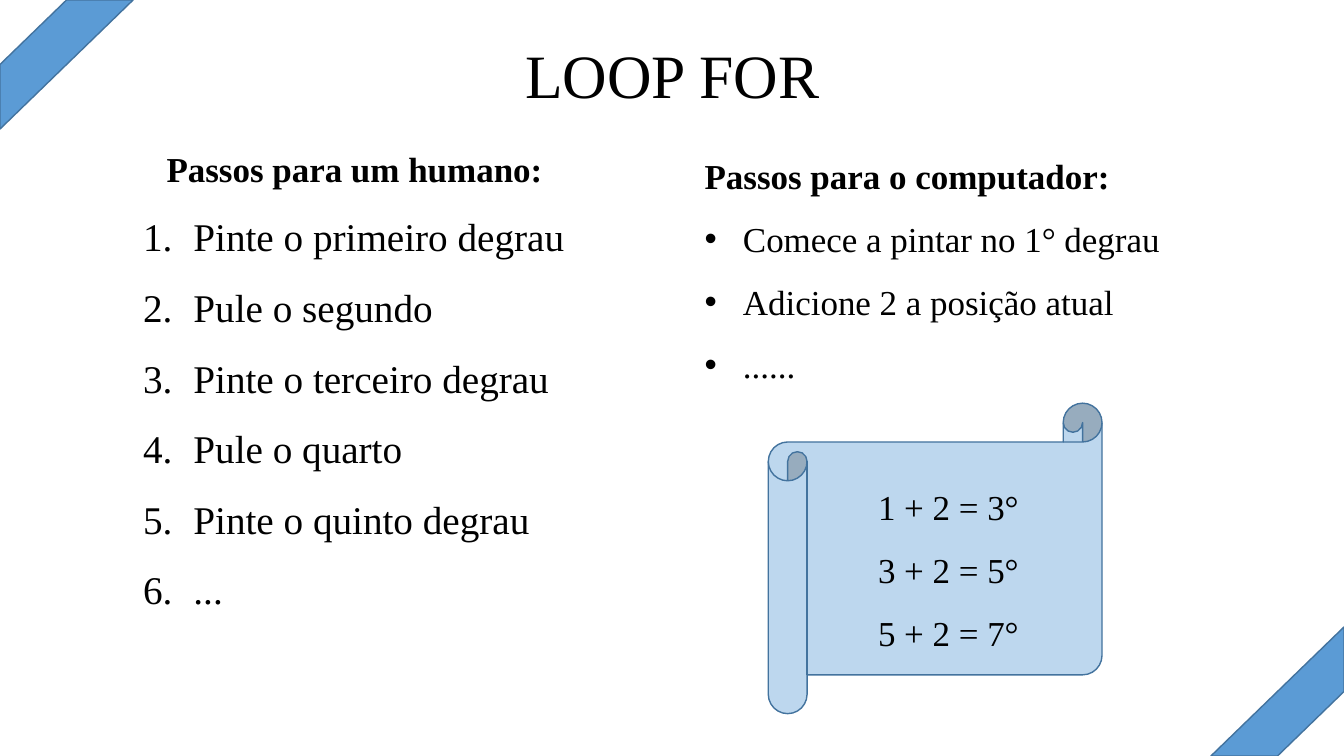
from lxml import etree
from pptx import Presentation
from pptx.dml.color import RGBColor
from pptx.enum.shapes import MSO_SHAPE as Shape
from pptx.enum.text import MSO_ANCHOR as Anchor, PP_ALIGN as Align
from pptx.oxml.ns import qn
from pptx.util import Inches, Pt

BLACK = RGBColor(0x00, 0x00, 0x00)
BLUE = RGBColor(0x5B, 0x9B, 0xD5)
PALE_BLUE = RGBColor(0xBD, 0xD7, 0xEE)
OUTLINE = RGBColor(0x43, 0x73, 0x9E)

NUMBER = ("buAutoNum", {"type": "arabicPeriod"})
DOT = ("buChar", {"char": "•"})


class SlideBuilder:
    font_name = "Times New Roman"

    def __init__(self, slide):
        self.slide = slide

    def add_shape(self, preset, left, top, width, height, fill, rotation=0):
        shape = self.slide.shapes.add_shape(
            preset, Inches(left), Inches(top), Inches(width), Inches(height))
        shape.shadow.inherit = False
        shape.fill.solid()
        shape.fill.fore_color.rgb = fill
        shape.line.color.rgb = OUTLINE
        shape.line.width = Pt(1)
        shape.rotation = rotation

    def add_text_box(self, left, top, width, height, anchor=Anchor.TOP):
        box = self.slide.shapes.add_textbox(
            Inches(left), Inches(top), Inches(width), Inches(height))
        text_frame = box.text_frame
        text_frame.word_wrap = True
        text_frame.vertical_anchor = anchor
        return text_frame

    def add_lines(self, text_frame, lines, size, bold=False, align=Align.LEFT,
                  spacing=1.5, bullet=None, indent=0):
        for line in lines:
            paragraph = text_frame.paragraphs[0]
            if paragraph.runs:
                paragraph = text_frame.add_paragraph()
            paragraph.text = line
            paragraph.alignment = align
            paragraph.line_spacing = spacing
            font = paragraph.runs[0].font
            font.name = self.font_name
            font.size = Pt(size)
            font.bold = bold
            font.color.rgb = BLACK
            if bullet:
                self.add_bullet(paragraph, bullet, indent)

    def add_bullet(self, paragraph, bullet, indent):
        tag, attributes = bullet
        properties = paragraph._p.get_or_add_pPr()
        properties.set("marL", str(Inches(indent)))
        properties.set("indent", str(-Inches(indent)))
        if bullet is DOT:
            etree.SubElement(properties, qn("a:buFont"), typeface="Arial")
        etree.SubElement(properties, qn(f"a:{tag}"), attributes)


def main():
    presentation = Presentation()
    presentation.slide_width = Inches(13.33)
    presentation.slide_height = Inches(7.5)
    builder = SlideBuilder(
        presentation.slides.add_slide(presentation.slide_layouts[6]))

    # Corner stripes
    builder.add_shape(Shape.DIAGONAL_STRIPE, 0, 0, 1.32, 1.28, BLUE)
    builder.add_shape(Shape.DIAGONAL_STRIPE, 12.01, 6.22, 1.32, 1.28, BLUE, 180)

    # Title
    title = builder.add_text_box(0.92, 0.29, 11.5, 0.98, Anchor.MIDDLE)
    builder.add_lines(title, ["LOOP FOR"], 44, align=Align.CENTER, spacing=0.9)

    # Steps for a person
    human = builder.add_text_box(1.32, 1.41, 4.39, 4.68)
    builder.add_lines(human, ["Passos para um humano:"], 25, bold=True,
                      align=Align.CENTER, spacing=1.0)
    builder.add_lines(human, [
        "Pinte o primeiro degrau",
        "Pule o segundo",
        "Pinte o terceiro degrau",
        "Pule o quarto",
        "Pinte o quinto degrau",
        "...",
    ], 28, bullet=NUMBER, indent=0.5)

    # Steps for the computer
    computer = builder.add_text_box(6.89, 1.28, 5.52, 2.55)
    builder.add_lines(computer, ["Passos para o computador:"], 25, bold=True)
    builder.add_lines(computer, [
        "Comece a pintar no 1° degrau",
        "Adicione 2 a posição atual",
        "......",
    ], 25, bullet=DOT, indent=0.38)

    # Scroll with the sums
    builder.add_shape(Shape.HORIZONTAL_SCROLL, 7.62, 4, 3.31, 3.08, PALE_BLUE)
    sums = builder.add_text_box(8.61, 4.56, 2.08, 1.92)
    builder.add_lines(
        sums, [f"{step} + 2 = {step + 2}°" for step in (1, 3, 5)], 25)

    presentation.save("out.pptx")


if __name__ == "__main__":
    main()
